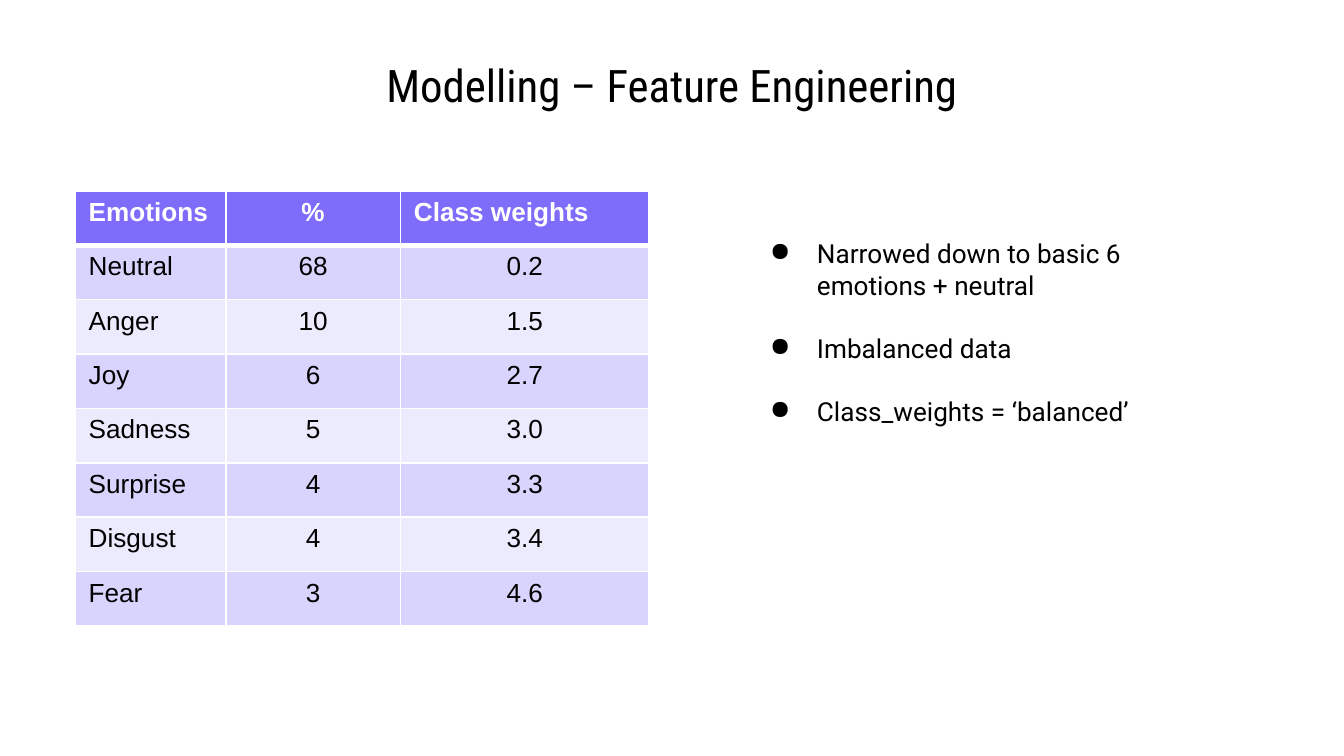
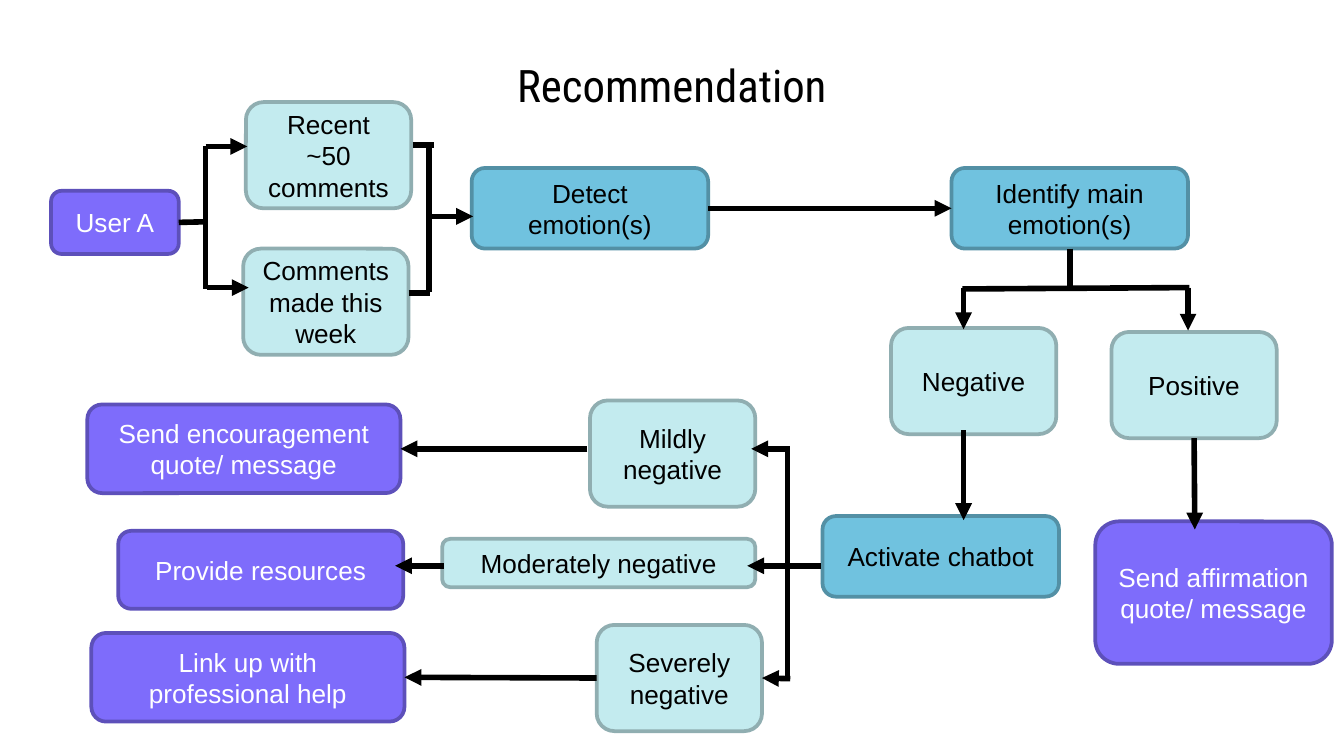
from lxml import etree
from pptx import Presentation
from pptx.dml.color import RGBColor
from pptx.enum.shapes import MSO_CONNECTOR, MSO_SHAPE
from pptx.enum.text import MSO_ANCHOR, PP_ALIGN
from pptx.oxml.ns import qn
from pptx.util import Inches, Pt

STRAIGHT, ROUNDED = MSO_CONNECTOR.STRAIGHT, MSO_SHAPE.ROUNDED_RECTANGLE
MIDDLE, TOP = MSO_ANCHOR.MIDDLE, MSO_ANCHOR.TOP
LEFT, CENTER = PP_ALIGN.LEFT, PP_ALIGN.CENTER
LEFT_SIDE, BOTTOM_SIDE, RIGHT_SIDE = 1, 2, 3

WIDTH, HEIGHT = Inches(10), Inches(5.625)
UNIT = WIDTH // 100
BLACK, WHITE, PURPLE = "000000", "FFFFFF", "7E6CFB"
BANDS = ("D8D4FD", "ECEBFE")
TITLE_FONT = {"name": "Roboto Condensed", "size": Pt(24)}
BODY_FONT = {"name": "Roboto", "size": Pt(14)}
LABEL_FONT = {"name": "Arial", "size": Pt(14)}
BOX_STYLES = {
    "action": (PURPLE, "5D50BA", WHITE),
    "state": ("C3EBEF", "90AEB1", BLACK),
    "step": ("70C2DF", "5390A5", BLACK),
}

EMOTIONS = [
    ("Emotions", "%", "Class weights"),
    ("Neutral", "68", "0.2"),
    ("Anger", "10", "1.5"),
    ("Joy", "6", "2.7"),
    ("Sadness", "5", "3.0"),
    ("Surprise", "4", "3.3"),
    ("Disgust", "4", "3.4"),
    ("Fear", "3", "4.6"),
]
POINTS = [
    "Narrowed down to basic 6 emotions + neutral",
    "Imbalanced data",
    "Class_weights = ‘balanced’",
]
SIZES = {"state": (12.3, 7.9), "step": (17.6, 6), "action": (23.3, 6.6)}
BOXES = [
    ("user", "User A", "action", 3.8, 14.2, (9.5, 4.7)),
    ("recent", "Recent ~50 comments", "state", 18.3, 7.6, None),
    ("week", "Comments made this week", "state", 18.1, 18.5, None),
    ("detect", "Detect emotion(s)", "step", 35.1, 12.5, None),
    ("identify", "Identify main emotion(s)", "step", 70.8, 12.5, None),
    ("affirm", "Send affirmation quote/ message", "action", 81.5, 38.8, (17.6, 10.6)),
    ("positive", "Positive", "state", 82.7, 24.7, None),
    ("negative", "Negative", "state", 66.3, 24.4, None),
    ("chatbot", "Activate chatbot", "step", 61.2, 38.4, None),
    ("encourage", "Send encouragement quote/ message", "action", 6.5, 30.1, None),
    ("mild", "Mildly negative", "state", 43.9, 29.8, None),
    ("severe", "Severely negative", "state", 44.4, 46.5, None),
    ("help", "Link up with professional help", "action", 6.8, 47.1, None),
    ("moderate", "Moderately negative", "state", 32.9, 40.1, (23.3, 3.6)),
    ("resources", "Provide resources", "action", 8.8, 39.5, (21.2, 5.8)),
]
LINES = [
    (("user", RIGHT_SIDE), (15.4, 16.5)),
    ((15.3, 10.9), (15.3, 21.5)),
    ((31.9, 11), (31.9, 21.7)),
    ((30.7, 10.8), (32.3, 10.8)),
    ((30.4, 21.8), (32, 21.8)),
    (("identify", BOTTOM_SIDE), (79.6, 21.3)),
    ((71.6, 21.5), (88.5, 21.4)),
    ((58.6, 33.2), (58.6, 50.5)),
]
ARROWS = [
    ((15.3, 10.9), (18.4, 10.9)),
    ((15.4, 21.4), (18.5, 21.4)),
    ((32.1, 16.1), (35.2, 16.1)),
    (("detect", RIGHT_SIDE), ("identify", LEFT_SIDE)),
    ((71.7, 21.4), (71.7, 24.5)),
    ((88.4, 21.4), (88.4, 24.6)),
    ((71.7, 32), (71.7, 38.7)),
    (("positive", BOTTOM_SIDE), (88.9, 39.4)),
    ((58.7, 33.4), (55.9, 33.4)),
    ((61.1, 42.1), (55.6, 42.1)),
    ((58.8, 50.5), ("severe", RIGHT_SIDE)),
    ((43.7, 33.4), ("encourage", RIGHT_SIDE)),
    ((33, 42.1), (29.4, 42.1)),
    (("severe", LEFT_SIDE), ("help", RIGHT_SIDE)),
]


def rgb(value):
    """Turn a hex string into a colour."""
    return RGBColor.from_string(value)


def grid(*values):
    """Turn grid units, a hundredth of the slide's width each, into lengths."""
    return [round(v * UNIT) for v in values]


def apply(target, formats):
    """Set each attribute of a format dict on the target."""
    for name, value in formats.items():
        setattr(target, name, value)


def write(p, text, font, color, align=LEFT):
    """Fill a paragraph with one formatted run."""
    p.alignment = align
    r = p.add_run()
    r.text = text
    apply(r.font, font)
    r.font.color.rgb = rgb(color)


def add_text_frame(s, left, top, width, height, anchor):
    """Add a wrapping text box with even insets and return its text frame."""
    tf = s.shapes.add_textbox(*grid(left, top, width, height)).text_frame
    inset = Inches(0.1)
    apply(tf, {"word_wrap": True, "vertical_anchor": anchor,
               "margin_left": inset, "margin_right": inset,
               "margin_top": inset, "margin_bottom": inset})
    return tf


def add_slide(prs, title):
    """Add a blank slide with the shared centred title."""
    s = prs.slides.add_slide(prs.slide_layouts[6])
    tf = add_text_frame(s, 5, 4.5, 90, 3.6, MIDDLE)
    write(tf.paragraphs[0], title, TITLE_FONT, BLACK, CENTER)
    return s


def add_bullets(s, points, left, top, width, height):
    """Add a bulleted list with a line's space between points."""
    tf = add_text_frame(s, left, top, width, height, TOP)
    for i, point in enumerate(points):
        p = tf.paragraphs[0] if i == 0 else tf.add_paragraph()
        if i:
            p.space_before = Pt(17)
        ppr = p._p.get_or_add_pPr()
        ppr.set("marL", str(Inches(0.5)))
        ppr.set("indent", str(-Inches(0.35)))
        etree.SubElement(ppr, qn("a:buChar"), char="●")
        write(p, point, BODY_FONT, BLACK)


def add_borders(cell, widths):
    """Draw white borders of the given point widths, keyed by side."""
    tcpr = cell._tc.get_or_add_tcPr()
    for side, width in widths.items():
        ln = etree.SubElement(tcpr, qn(f"a:ln{side}"), w=str(Pt(width)))
        fill = etree.SubElement(ln, qn("a:solidFill"))
        etree.SubElement(fill, qn("a:srgbClr"), val=WHITE)


def add_banded_table(s, rows, left, top, widths, row_height):
    """Add a table with a bold header and alternating bands."""
    box = grid(left, top, sum(widths), row_height * len(rows))
    table = s.shapes.add_table(len(rows), len(widths), *box).table
    for column, width in zip(table.columns, grid(*widths)):
        column.width = width
    for i, row in enumerate(rows):
        head = i == 0
        for j, text in enumerate(row):
            cell = table.cell(i, j)
            add_borders(cell, {"L": 1, "R": 1, "T": 3 if i == 1 else 1, "B": 3 if head else 1})
            cell.fill.solid()
            cell.fill.fore_color.rgb = rgb(PURPLE if head else BANDS[(i - 1) % 2])
            align = LEFT if j == 0 or (head and j == 2) else CENTER
            write(cell.text_frame.paragraphs[0], text, {**LABEL_FONT, "bold": head},
                  WHITE if head else BLACK, align)


def add_box(s, text, kind, left, top, size):
    """Add a rounded flow box in the style of its kind."""
    fill, line, color = BOX_STYLES[kind]
    sp = s.shapes.add_shape(ROUNDED, *grid(left, top, *(size or SIZES[kind])))
    sp.shadow.inherit = False
    sp.fill.solid()
    sp.fill.fore_color.rgb = rgb(fill)
    sp.line.color.rgb = rgb(line)
    sp.line.width = Pt(2)
    apply(sp.text_frame, {"word_wrap": True, "vertical_anchor": MIDDLE})
    write(sp.text_frame.paragraphs[0], text, LABEL_FONT, color, CENTER)
    return sp


def add_wire(s, boxes, start, end, arrow=False):
    """Add a line between two ends, each a grid point or a box's side."""
    points = [(0, 0) if end_at[0] in boxes else end_at for end_at in (start, end)]
    cx = s.shapes.add_connector(STRAIGHT, *grid(*points[0], *points[1]))
    for join, (name, side) in ((cx.begin_connect, start), (cx.end_connect, end)):
        if name in boxes:
            join(boxes[name], side)
    cx.line.color.rgb = rgb(BLACK)
    cx.line.width = Pt(3)
    if arrow:
        etree.SubElement(cx.line._get_or_add_ln(), qn("a:tailEnd"), type="triangle")
    etree.SubElement(cx._element.spPr, qn("a:effectLst"))


def build_features(prs):
    """Build the slide on class weights."""
    s = add_slide(prs, "Modelling – Feature Engineering")
    add_banded_table(s, EMOTIONS, 5.6, 14.2, (11.2, 13, 18.5), 4.05)
    add_bullets(s, POINTS, 54.8, 16.7, 37.9, 25.6)


def build_recommendation(prs):
    """Build the slide with the recommendation flow."""
    s = add_slide(prs, "Recommendation")
    boxes = {name: add_box(s, *rest) for name, *rest in BOXES}
    for arrow, wires in ((False, LINES), (True, ARROWS)):
        for start, end in wires:
            add_wire(s, boxes, start, end, arrow)


def main():
    """Build and save the presentation."""
    prs = Presentation()
    apply(prs, {"slide_width": WIDTH, "slide_height": HEIGHT})
    build_features(prs)
    build_recommendation(prs)
    prs.save("out.pptx")


if __name__ == "__main__":
    main()
